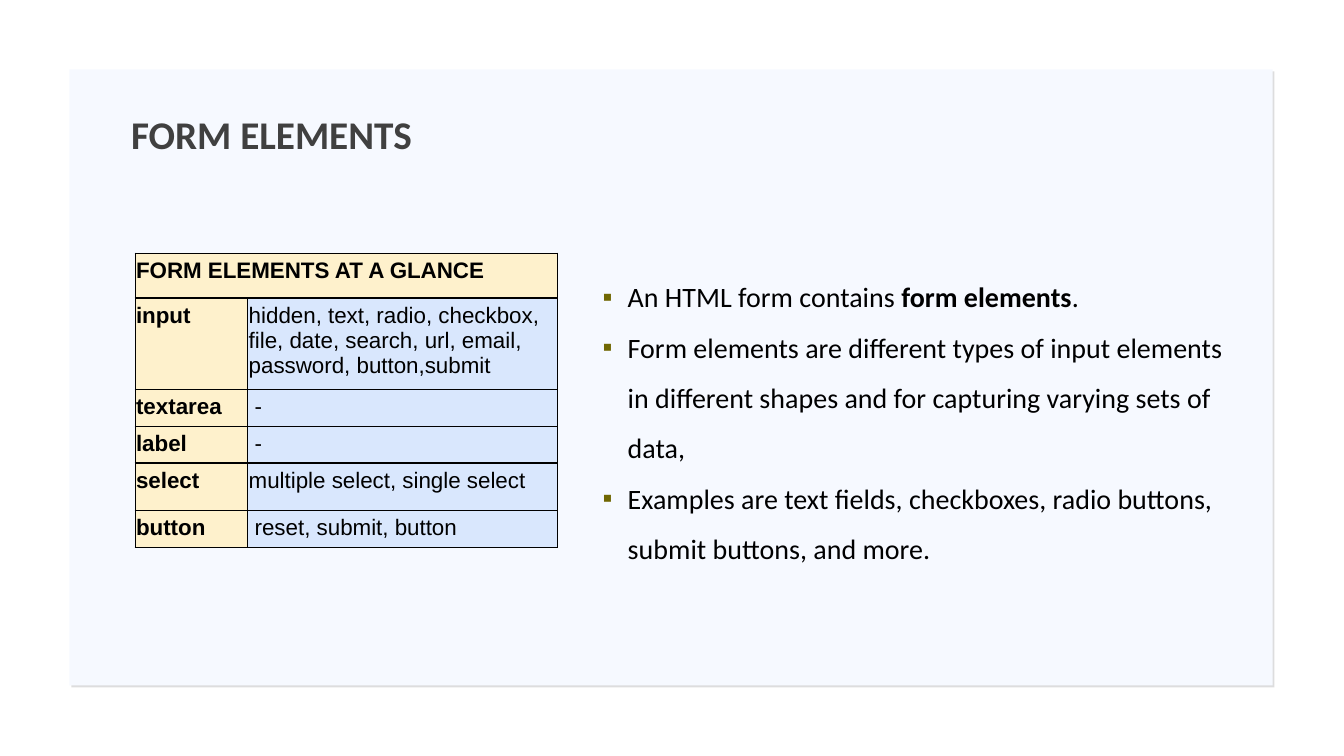
from lxml import etree
from pptx import Presentation
from pptx.dml.color import RGBColor
from pptx.enum.shapes import MSO_SHAPE
from pptx.enum.text import MSO_ANCHOR, MSO_AUTO_SIZE, PP_ALIGN
from pptx.oxml import parse_xml
from pptx.oxml.ns import qn
from pptx.util import Cm, Pt

RECT = MSO_SHAPE.RECTANGLE
TOP, MIDDLE = MSO_ANCHOR.TOP, MSO_ANCHOR.MIDDLE
LEFT = PP_ALIGN.LEFT
FIXED = MSO_AUTO_SIZE.NONE
NS = 'xmlns:a="http://schemas.openxmlformats.org/drawingml/2006/main"'

COLORS = {
    "panel": "F6F9FF", "shade": "1F2125", "title": "404040", "text": "000000",
    "bullet": "706702", "key": "FEF1CC", "value": "D9E7FD", "line": "000000",
}
TITLE = {"name": "Calibri", "size": Pt(28), "bold": True}
BODY = {"name": "Calibri", "size": Pt(20), "bold": False}
STRONG = {**BODY, "bold": True}
KEY = {"name": "Arial", "size": Pt(16), "bold": True}
VALUE = {**KEY, "bold": False}

HEAD = "FORM ELEMENTS AT A GLANCE"
# Element, its kinds, row height and left inset in cm
ROWS = [
    ("input", "hidden, text, radio, checkbox, file, date, search, url, email, "
              "password, button,submit", 2.3, 0.03),
    ("textarea", "-", 0.93, 0.18),
    ("label", "-", 0.93, 0.18),
    ("select", "multiple select, single select", 1.19, 0.03),
    ("button", "reset, submit, button", 0.93, 0.18),
]
POINTS = [
    [("An HTML form contains ", BODY), ("form elements", STRONG), (".", BODY)],
    [("Form elements are different types of input elements in different "
      "shapes and for capturing varying sets of data,", BODY)],
    [("Examples are text fields, checkboxes, radio buttons, submit buttons, "
      "and more.", BODY)],
]


def rgb(name):
    return RGBColor.from_string(COLORS[name])


def put(item, values):
    for key, value in values.items():
        setattr(item, key, value)


def add_run(para, text, form, color="text"):
    run = para.add_run()
    run.text = text
    put(run.font, form)
    run.font.color.rgb = rgb(color)


def place(shape, left, top, width, height, anchor):
    put(shape, {"left": Cm(left), "top": Cm(top),
                "width": Cm(width), "height": Cm(height)})
    put(shape.text_frame, {"word_wrap": True, "auto_size": FIXED,
                           "vertical_anchor": anchor})


def add_panel(slide):
    panel = slide.shapes.add_shape(RECT, Cm(1.75), Cm(1.75), Cm(30.33), Cm(15.52))
    panel.fill.solid()
    panel.fill.fore_color.rgb = rgb("panel")
    panel.line.fill.background()
    panel._element.spPr.append(parse_xml(
        f'<a:effectLst {NS}><a:outerShdw blurRad="0" dist="{Pt(2)}" dir="2700000" '
        f'algn="tl" rotWithShape="0"><a:srgbClr val="{COLORS["shade"]}">'
        '<a:alpha val="15000"/></a:srgbClr></a:outerShdw></a:effectLst>'))
    # Send behind the placeholders
    slide.shapes._spTree.insert(2, panel._element)


def add_title(shape):
    place(shape, 3.05, 2.62, 27.94, 1.63, MIDDLE)
    para = shape.text_frame.paragraphs[0]
    put(para, {"alignment": LEFT, "line_spacing": 0.9})
    add_run(para, "FORM ELEMENTS", TITLE, "title")


def add_border(cell):
    props = cell._tc.get_or_add_tcPr()
    for spot, (side, width) in enumerate(
            [("L", 0.23), ("R", 0.23), ("T", 0.96), ("B", 0.96)]):
        props.insert(spot, parse_xml(
            f'<a:ln{side} {NS} w="{Pt(width)}"><a:solidFill>'
            f'<a:srgbClr val="{COLORS["line"]}"/></a:solidFill></a:ln{side}>'))


def fill_cell(cell, text, form, color, inset=0.03):
    put(cell, {"margin_left": Cm(inset), "margin_right": Cm(0.03),
               "margin_top": Cm(0.13), "margin_bottom": Cm(0.13),
               "vertical_anchor": TOP})
    cell.fill.solid()
    cell.fill.fore_color.rgb = rgb(color)
    add_border(cell)
    if text:
        add_run(cell.text_frame.paragraphs[0], text, form)


def add_grid(slide):
    tall = [1.13] + [row[2] for row in ROWS]
    grid = slide.shapes.add_table(len(tall), 2, Cm(3.4), Cm(6.38),
                                  Cm(10.64), Cm(sum(tall))).table
    put(grid, {"first_row": False, "horz_banding": False})
    for col, width in zip(grid.columns, (2.84, 7.8)):
        col.width = Cm(width)
    for row, height in zip(grid.rows, tall):
        row.height = Cm(height)
    # Heading across both columns
    fill_cell(grid.cell(0, 0), HEAD, KEY, "key")
    fill_cell(grid.cell(0, 1), "", KEY, "key")
    grid.cell(0, 0).merge(grid.cell(0, 1))
    for i, (name, kinds, _, inset) in enumerate(ROWS, 1):
        fill_cell(grid.cell(i, 0), name, KEY, "key")
        fill_cell(grid.cell(i, 1), kinds, VALUE, "value", inset)


def add_bullet(para):
    props = para._p.get_or_add_pPr()
    props.set("marL", str(Cm(0.63)))
    props.set("indent", str(-Cm(0.63)))
    tint = etree.SubElement(props, qn("a:buClr"))
    etree.SubElement(tint, qn("a:srgbClr"), val=COLORS["bullet"])
    etree.SubElement(props, qn("a:buFont"), typeface="Arial")
    etree.SubElement(props, qn("a:buChar"), char="▪")


def add_list(shape):
    place(shape, 14.94, 6.5, 16.15, 7.87, TOP)
    frame = shape.text_frame
    for i, runs in enumerate(POINTS):
        para = frame.add_paragraph() if i else frame.paragraphs[0]
        add_bullet(para)
        put(para, {"line_spacing": 1.5, "space_before": Pt(0), "alignment": LEFT})
        for text, form in runs:
            add_run(para, text, form)


def main():
    deck = Presentation()
    put(deck, {"slide_width": Cm(33.88), "slide_height": Cm(19.05)})
    slide = deck.slides.add_slide(deck.slide_layouts[1])
    add_panel(slide)
    add_title(slide.shapes.title)
    add_grid(slide)
    add_list(slide.placeholders[1])
    deck.save("out.pptx")


if __name__ == "__main__":
    main()
